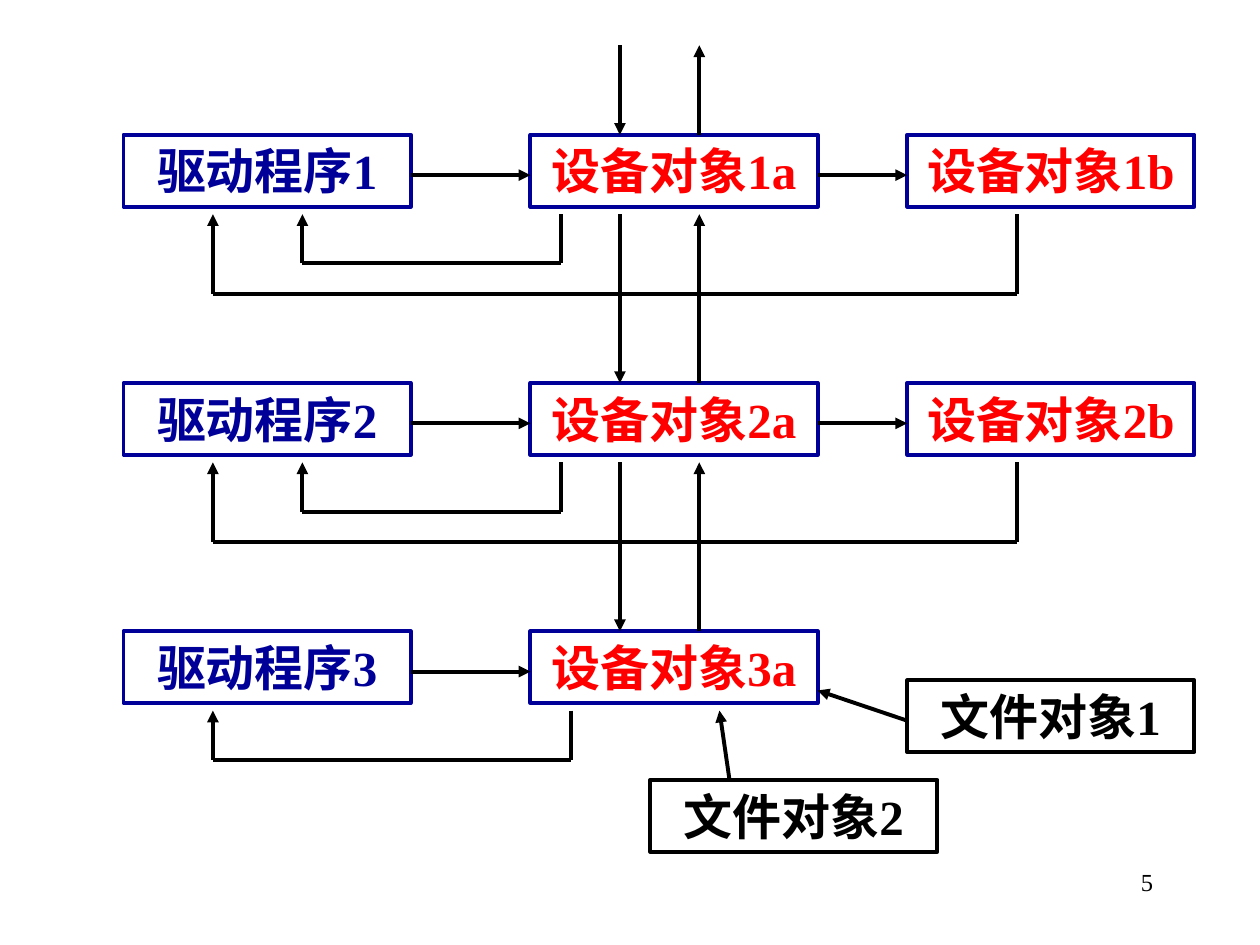
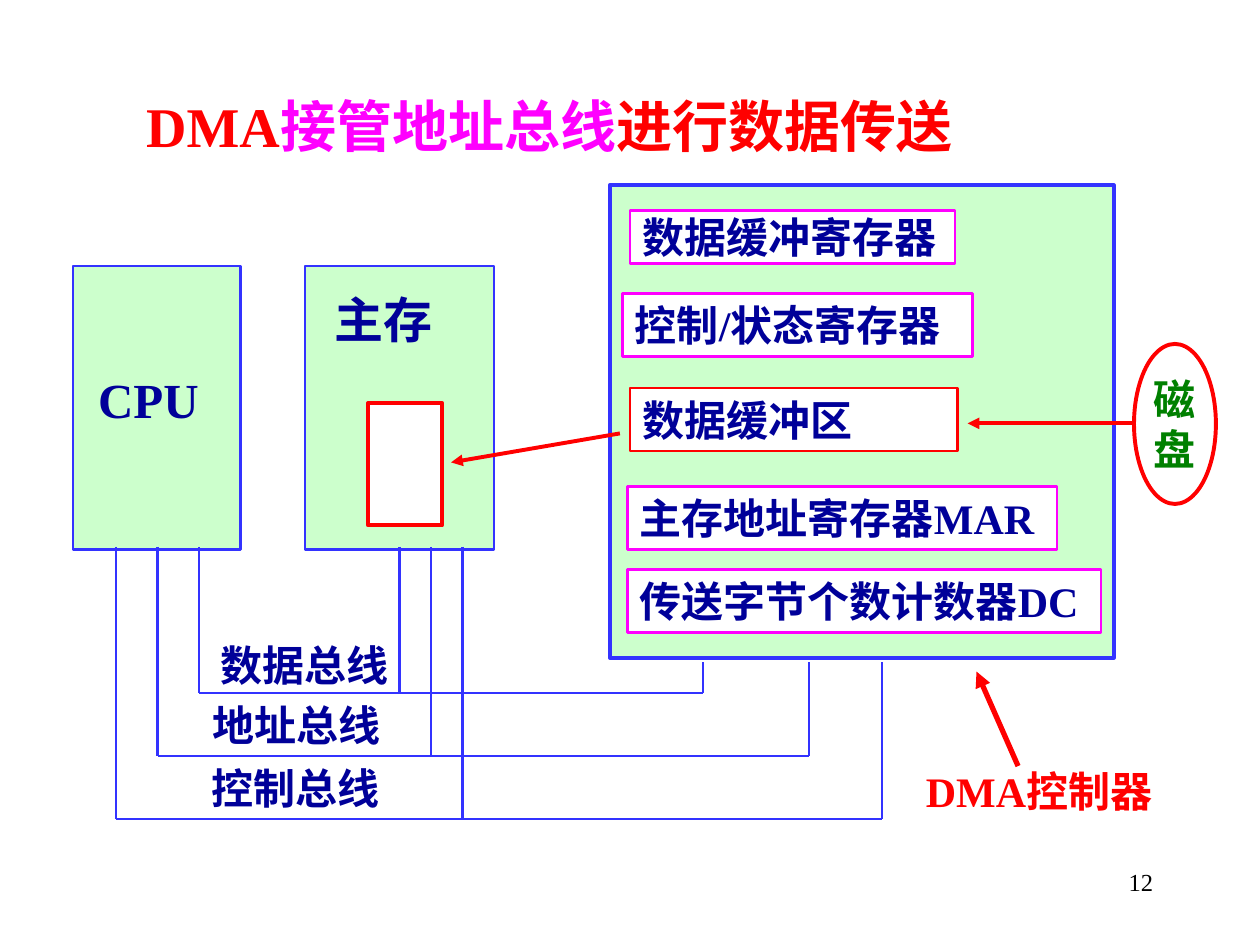
from dataclasses import dataclass
from itertools import pairwise

from pptx import Presentation, util as u
from pptx.dml.color import RGBColor
from pptx.enum import lang, shapes, text
from pptx.oxml.ns import qn
from lxml import etree

COLS, ROWS = 100, 75
LEFT, CENTER, RIGHT = text.PP_ALIGN.LEFT, text.PP_ALIGN.CENTER, text.PP_ALIGN.RIGHT
TOP, MIDDLE = text.MSO_ANCHOR.TOP, text.MSO_ANCHOR.MIDDLE


@dataclass(frozen=True)
class Theme:
    font: str = "Times New Roman"
    black: str = "000000"
    white: str = "FFFFFF"
    navy: str = "000099"
    blue: str = "3333FF"
    red: str = "FF0000"
    magenta: str = "FF00FF"
    green: str = "008000"
    mint: str = "CCFFCC"
    title: int = 32
    large: int = 28
    body: int = 24
    number: int = 14
    thin: float = 1.5
    medium: float = 2.25
    thick: float = 3


T = Theme()


def apply(obj, values):
    for name, value in values.items():
        setattr(obj, name, value)


class Deck:
    def __init__(self):
        self.prs = Presentation()
        self.prs.slide_width, self.prs.slide_height = u.Inches(10), u.Inches(7.5)
        self.s = None

    def x(self, col):
        return round(self.prs.slide_width * col / COLS)

    def y(self, row):
        return round(self.prs.slide_height * row / ROWS)

    def area(self, col, row, width, height):
        return self.x(col), self.y(row), self.x(width), self.y(height)

    def slide(self, number, titled=False):
        self.s = self.prs.slides.add_slide(self.prs.slide_layouts[5 if titled else 6])
        self.label(str(number), (71.7, 68.3, 20.8, 5), T.black, T.number,
                   align=RIGHT, bold=False)

    def fill_text(self, sp, paragraphs, size, align=LEFT, anchor=TOP, bold=True, pad=0.05):
        tf = sp.text_frame
        side = u.Inches(0 if align == CENTER else 0.1)
        apply(tf, {
            "word_wrap": True, "auto_size": text.MSO_AUTO_SIZE.NONE,
            "vertical_anchor": anchor,
            "margin_left": side, "margin_right": side if align == RIGHT else 0,
            "margin_top": u.Inches(pad), "margin_bottom": u.Inches(pad),
        })
        for i, runs in enumerate(paragraphs):
            p = tf.add_paragraph() if i else tf.paragraphs[0]
            p.alignment = align
            for words, color in runs:
                r = p.add_run()
                r.text = words
                apply(r.font, {"name": T.font, "size": u.Pt(size), "bold": bold,
                               "language_id": lang.MSO_LANGUAGE_ID.SIMPLIFIED_CHINESE})
                r.font.color.rgb = RGBColor.from_string(color)

    def title(self, runs, area):
        sp = self.s.shapes.title
        apply(sp, dict(zip(("left", "top", "width", "height"), self.area(*area))))
        self.fill_text(sp, [runs], T.title)

    def label(self, words, area, color=T.navy, size=T.body, **fmt):
        sp = self.s.shapes.add_textbox(*self.area(*area))
        self.fill_text(sp, [[(words, color)]], size, **fmt)

    def box(self, area, line, weight=T.thin, fill=None, words=(), color=T.navy,
            size=T.body, kind=shapes.MSO_SHAPE.RECTANGLE, **fmt):
        sp = self.s.shapes.add_shape(kind, *self.area(*area))
        sp.shadow.inherit = False
        if fill:
            sp.fill.solid()
            sp.fill.fore_color.rgb = RGBColor.from_string(fill)
        else:
            sp.fill.background()
        sp.line.color.rgb = RGBColor.from_string(line)
        sp.line.width = u.Pt(weight)
        if words:
            self.fill_text(sp, [[(w, color)] for w in words], size, **fmt)

    def route(self, *points, color=T.black, weight=T.medium, arrow=True):
        for (x1, y1), (x2, y2) in pairwise(points):
            c = self.s.shapes.add_connector(
                shapes.MSO_CONNECTOR.STRAIGHT,
                self.x(x1), self.y(y1), self.x(x2), self.y(y2))
            c.line.color.rgb = RGBColor.from_string(color)
            c.line.width = u.Pt(weight)
            sp_pr = c._element.spPr
            etree.SubElement(sp_pr, qn("a:effectLst"))
        if arrow:
            etree.SubElement(sp_pr.find(qn("a:ln")), qn("a:tailEnd"), type="triangle")


def driver_stack(d):
    d.slide(5)
    driver_x, first_x, second_x = 9.8, 42.1, 72
    width, height, gap, pitch = 22.8, 5.7, 0.6, 19.7
    down_x, up_x, outer_x, inner_x = 49.2, 55.5, 16.9, 24

    def node(words, col, row, color, line=T.navy):
        d.box((col, row, width, height), line, T.medium, words=[words], color=color,
              size=T.large, align=CENTER)

    for i in range(3):
        n, top = i + 1, 10.7 + pitch * i
        mid, below = top + 3.2, top + height + gap
        above = top - pitch + height + gap if i else 3.6
        node(f"驱动程序{n}", driver_x, top, T.navy)
        node(f"设备对象{n}a", first_x, top, T.red)
        d.route((driver_x + width, mid), (first_x, mid))
        d.route((down_x, above), (down_x, top))
        d.route((up_x, top), (up_x, above))
        returns = [(45.3, outer_x, 3.9)]
        if i < 2:
            node(f"设备对象{n}b", second_x, top, T.red)
            d.route((first_x + width, mid), (second_x, mid))
            returns = [(44.5, inner_x, 3.9), (80.7, outer_x, 6.3)]
        for start, end, depth in returns:
            d.route((start, below), (start, below + depth),
                    (end, below + depth), (end, below))

    node("文件对象1", second_x, 54, T.black, T.black)
    node("文件对象2", 51.6, 61.9, T.black, T.black)
    d.route((second_x, 57.2), (first_x + width, 54.8))
    d.route((57.9, 61.9), (57.1, 56.4))


def dma_transfer(d):
    d.slide(12, titled=True)
    d.title([("DMA", T.red), ("接管地址总线", T.magenta), ("进行数据传送", T.red)],
            (10.6, 6.8, 81.9, 6.4))

    for area, weight in (((5.8, 21.1, 13.3, 22.5), T.thin),
                         ((24.2, 21.1, 15, 22.5), T.thin),
                         ((48.4, 14.7, 40, 37.5), T.medium)):
        d.box(area, T.blue, weight, T.mint)
    d.box((29.2, 32, 5.9, 9.7), T.red, T.medium, T.white)
    d.label("CPU", (6.8, 28.8, 10.5, 5.7), size=T.large)
    d.label("主存", (25.6, 22.5, 12.6, 5.7), size=T.large)

    for words, area, line, pad in (
            ("数据缓冲寄存器", (50, 16.7, 25.8, 4.2), T.magenta, 0.01),
            ("控制/状态寄存器", (49.4, 23.3, 27.8, 5), T.magenta, 0.05),
            ("数据缓冲区", (50, 30.8, 26, 5), T.red, 0.05),
            ("主存地址寄存器MAR", (49.8, 38.6, 34.1, 5), T.magenta, 0.05),
            ("传送字节个数计数器DC", (49.8, 45.2, 37.6, 5), T.magenta, 0.05)):
        d.box(area, line, fill=T.white, words=[words], pad=pad)

    for words, label_x, label_y, cpu_x, memory_x, dma_x, bus_y in (
            ("数据总线", 16.5, 50.3, 15.8, 31.7, 55.8, 55),
            ("地址总线", 15.9, 55, 12.5, 34.2, 64.2, 60),
            ("控制总线", 15.8, 60, 9.2, 36.7, 70, 65)):
        bus = {"color": T.blue, "weight": T.thin, "arrow": False}
        d.route((cpu_x, 43.4), (cpu_x, bus_y), (dma_x, bus_y), (dma_x, 52.5), **bus)
        d.route((memory_x, 43.4), (memory_x, bus_y), **bus)
        d.label(words, (label_x, label_y, 17.5, 5))

    d.box((90, 27.3, 6.5, 12.7), T.red, T.medium, T.white, ["磁", "盘"], T.green,
          kind=shapes.MSO_SHAPE.OVAL, align=CENTER, anchor=MIDDLE)
    d.route((90.2, 33.6), (76.8, 33.6), color=T.red)
    d.route((49.2, 34.4), (35.8, 36.7), color=T.red)
    d.route((80.8, 60.8), (77.5, 53.3), color=T.red, weight=T.thick)
    d.label("DMA控制器", (72.5, 60.3, 23.2, 5), T.red)


def main():
    d = Deck()
    driver_stack(d)
    dma_transfer(d)
    d.prs.save("out.pptx")


if __name__ == "__main__":
    main()
